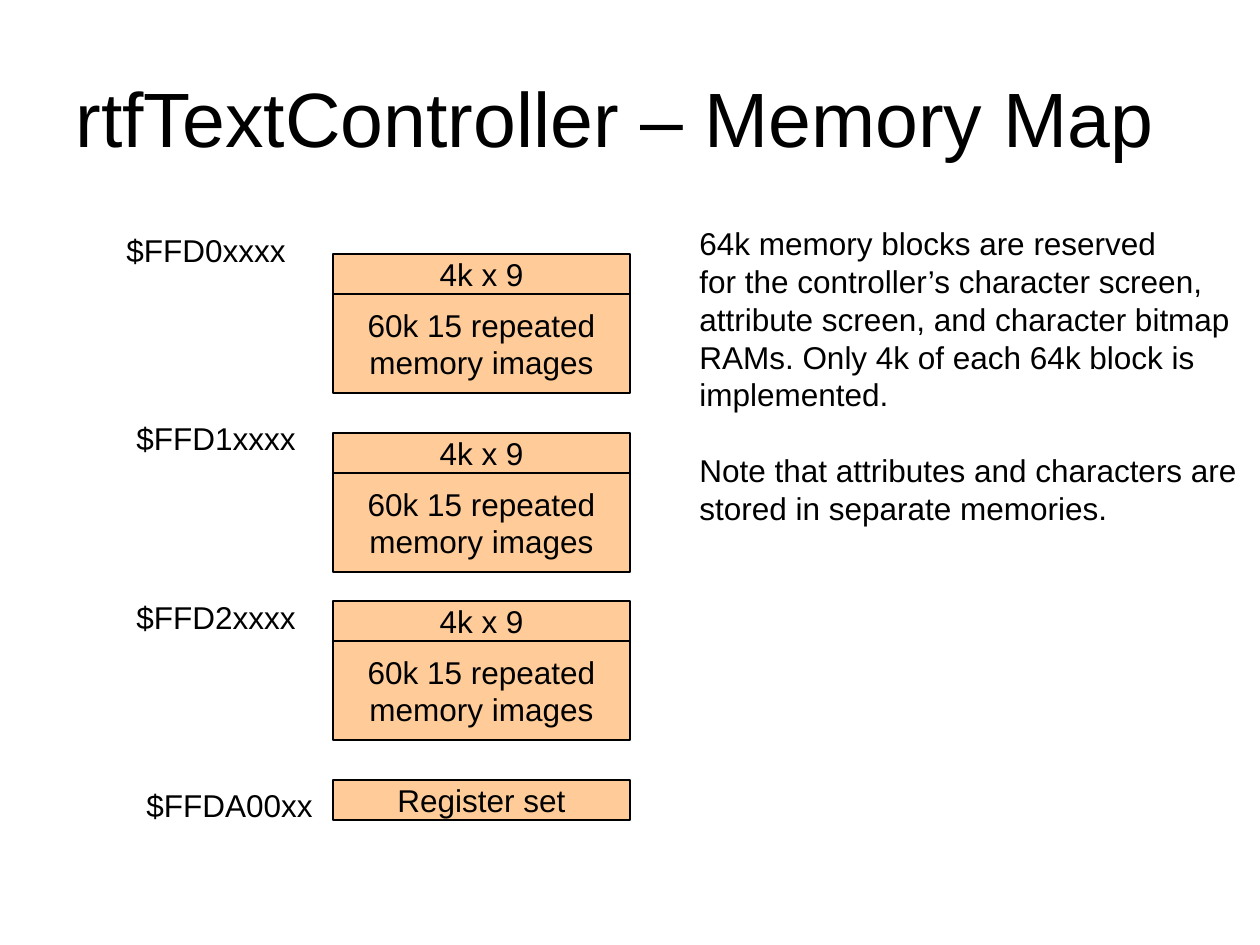
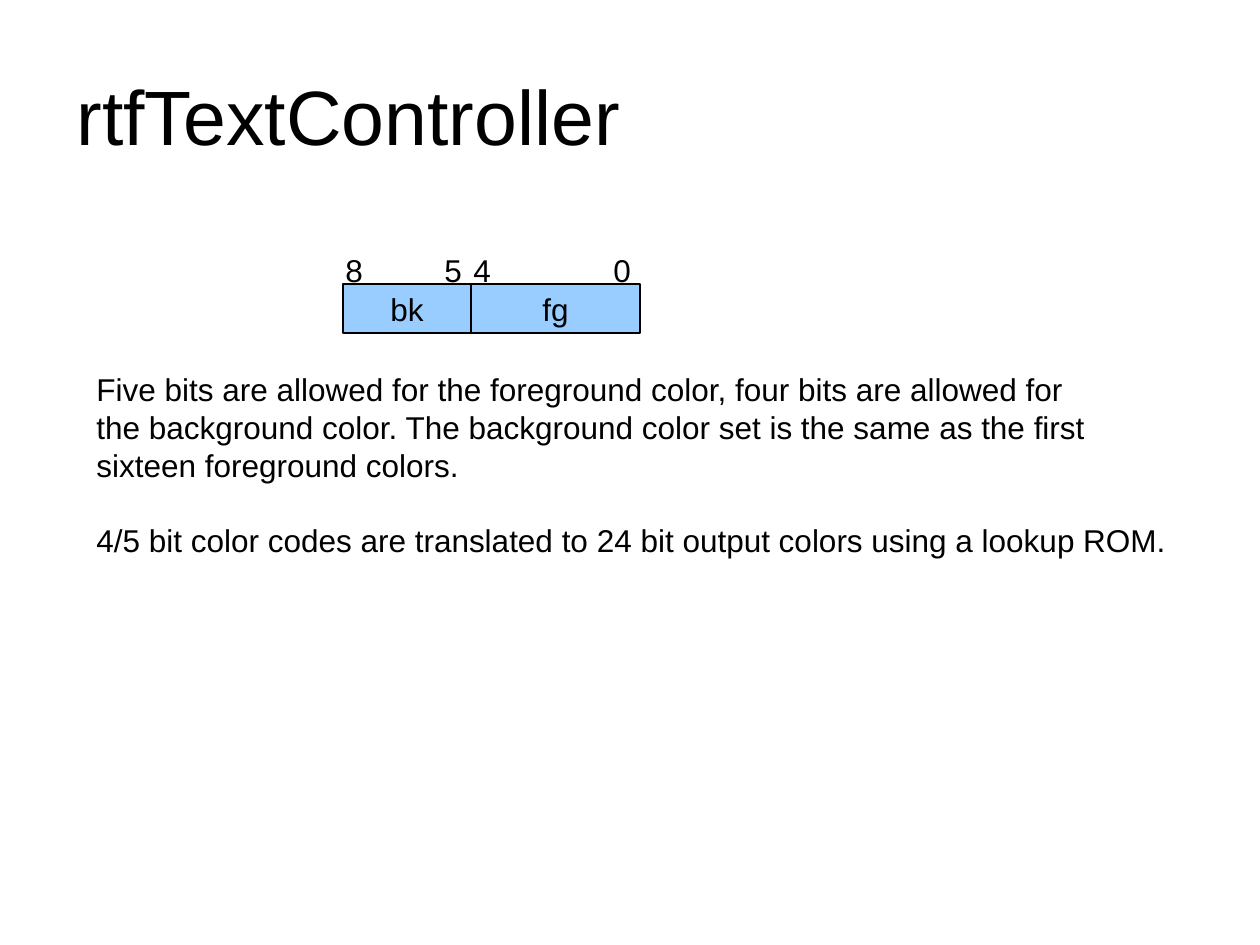
from typing import NamedTuple

from pptx import Presentation
from pptx.dml.color import RGBColor
from pptx.enum.shapes import MSO_SHAPE as SHAPE
from pptx.enum.text import MSO_ANCHOR as ANCHOR, MSO_AUTO_SIZE as AUTO, PP_ALIGN as ALIGN
from pptx.util import Emu, Inches, Pt

PX_PER_INCH = 126
BLACK = RGBColor(0x00, 0x00, 0x00)
PEACH = RGBColor(0xFF, 0xCC, 0x99)
SKY = RGBColor(0x99, 0xCC, 0xFF)
FONT = "Arial"
TITLE_SIZE = Pt(44)
TEXT_SIZE = Pt(18)
LINE_PITCH = Pt(21.6)
TITLE_ONLY = 5


class Rect(NamedTuple):
    left: int
    top: int
    width: int
    height: int


class Cell(NamedTuple):
    """A filled, outlined box with centred lines."""
    rect: Rect
    lines: list[str]
    fill: RGBColor


class Note(NamedTuple):
    """Free text: blocks of lines, one blank line's height apart."""
    rect: Rect
    blocks: list[list[str]]


class Region(NamedTuple):
    """A 64k block of the memory map and its address label."""
    address: str
    label_left: int
    label_top: int
    top: int


MAP_LEFT, MAP_WIDTH = 333, 297
HEAD_HEIGHT, REPEAT_HEIGHT = 40, 99
LABEL_HEIGHT = 50
ADDRESS_WIDTH = 194

REGIONS = [
    Region("$FFD0xxxx", 114, 225, 254),
    Region("$FFD1xxxx", 124, 413, 433),
    Region("$FFD2xxxx", 124, 592, 601),
]
REGISTER_TOP = 780

MAP_NOTE = Note(Rect(687, 218, 570, 315), [
    ["64k memory blocks are reserved",
     "for the controller’s character screen,",
     "attribute screen, and character bitmap",
     "RAMs. Only 4k of each 64k block is",
     "implemented."],
    ["Note that attributes and characters are",
     "stored in separate memories."],
])

FIELD_TOP, FIELD_HEIGHT = 284, 49
FIELDS = [("bk", 343, 128), ("fg", 471, 169)]
BIT_TOP, BIT_WIDTH = 245, 44
BITS = [("8", 333), ("5", 432), ("4", 461), ("0", 601)]

COLOR_NOTE = Note(Rect(84, 364, 1100, 202), [
    ["Five bits are allowed for the foreground color, four bits are allowed for",
     "the background color. The background color set is the same as the first",
     "sixteen foreground colors."],
    ["4/5 bit color codes are translated to 24 bit output colors using a lookup ROM."],
])


def emu(rect: Rect) -> list[Emu]:
    return [Emu(round(Inches(1) * px / PX_PER_INCH)) for px in rect]


def style(p, size: Pt, align: ALIGN) -> None:
    p.alignment = align
    p.font.name = FONT
    p.font.size = size
    p.font.color.rgb = BLACK


def write(tf, blocks: list[list[str]], align: ALIGN) -> None:
    tf.word_wrap = False
    first = True
    for b, block in enumerate(blocks):
        for i, line in enumerate(block):
            p = tf.paragraphs[0] if first else tf.add_paragraph()
            first = False
            p.text = line
            p.line_spacing = LINE_PITCH
            if b and i == 0:
                p.space_before = LINE_PITCH
            style(p, TEXT_SIZE, align)


def add_titled_slide(prs, title: str, left: int, top: int):
    slide = prs.slides.add_slide(prs.slide_layouts[TITLE_ONLY])
    sp = slide.shapes.title
    sp.left, sp.top, sp.width, sp.height = emu(Rect(left, top, 1134, 157))
    tf = sp.text_frame
    tf.text = title
    tf.auto_size = AUTO.NONE
    tf.vertical_anchor = ANCHOR.MIDDLE
    style(tf.paragraphs[0], TITLE_SIZE, ALIGN.LEFT)
    return slide


def add_cell(slide, cell: Cell) -> None:
    sp = slide.shapes.add_shape(SHAPE.RECTANGLE, *emu(cell.rect))
    sp.shadow.inherit = False
    sp.fill.solid()
    sp.fill.fore_color.rgb = cell.fill
    sp.line.color.rgb = BLACK
    sp.line.width = Pt(0.75)
    sp.text_frame.vertical_anchor = ANCHOR.MIDDLE
    write(sp.text_frame, [cell.lines], ALIGN.CENTER)


def add_note(slide, note: Note) -> None:
    """Add free text that keeps its lines whole and its box at a fixed place."""
    tf = slide.shapes.add_textbox(*emu(note.rect)).text_frame
    write(tf, note.blocks, ALIGN.LEFT)
    tf.word_wrap = True
    tf.auto_size = AUTO.SHAPE_TO_FIT_TEXT


def add_label(slide, text: str, left: int, top: int, width: int) -> None:
    add_note(slide, Note(Rect(left, top, width, LABEL_HEIGHT), [[text]]))


def build_memory_map(prs) -> None:
    slide = add_titled_slide(prs, "rtfTextController – Memory Map", 63, 38)

    def add_block(top: int, height: int, *lines: str) -> None:
        add_cell(slide, Cell(Rect(MAP_LEFT, top, MAP_WIDTH, height), list(lines), PEACH))

    for region in REGIONS:
        add_block(region.top, HEAD_HEIGHT, "4k x 9")
        add_block(region.top + HEAD_HEIGHT, REPEAT_HEIGHT,
                  "60k 15 repeated", "memory images")
        add_label(slide, region.address, region.label_left, region.label_top, ADDRESS_WIDTH)
    add_block(REGISTER_TOP, HEAD_HEIGHT, "Register set")
    add_label(slide, "$FFDA00xx", 134, REGISTER_TOP, ADDRESS_WIDTH)
    add_note(slide, MAP_NOTE)


def build_color_fields(prs) -> None:
    slide = add_titled_slide(prs, "rtfTextController", 64, 36)
    for bit, left in BITS:
        add_label(slide, bit, left, BIT_TOP, BIT_WIDTH)
    for name, left, width in FIELDS:
        add_cell(slide, Cell(Rect(left, FIELD_TOP, width, FIELD_HEIGHT), [name], SKY))
    add_note(slide, COLOR_NOTE)


def main() -> None:
    prs = Presentation()
    prs.slide_width, prs.slide_height = Inches(10), Inches(7.5)
    build_memory_map(prs)
    build_color_fields(prs)
    prs.save("out.pptx")


if __name__ == "__main__":
    main()
